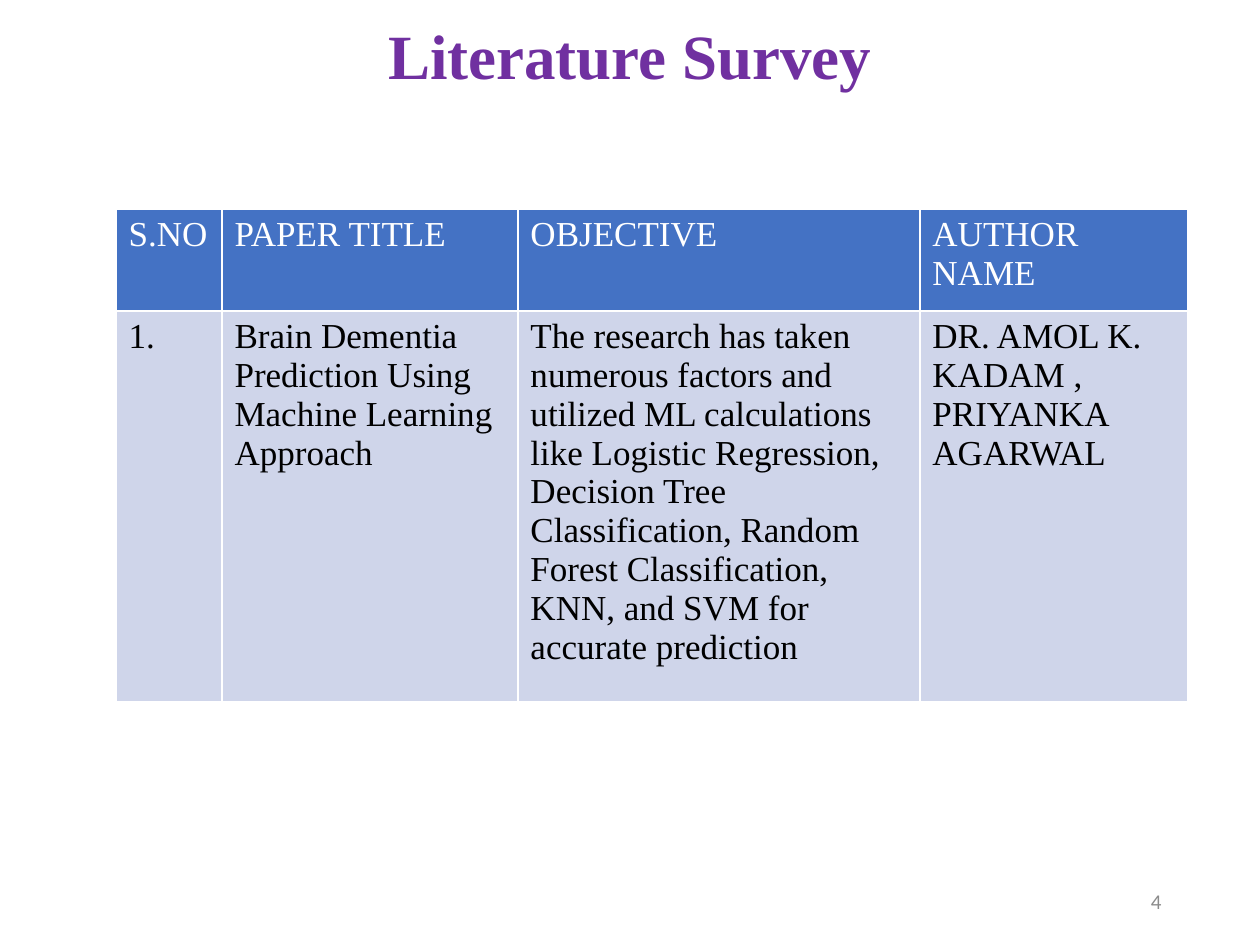
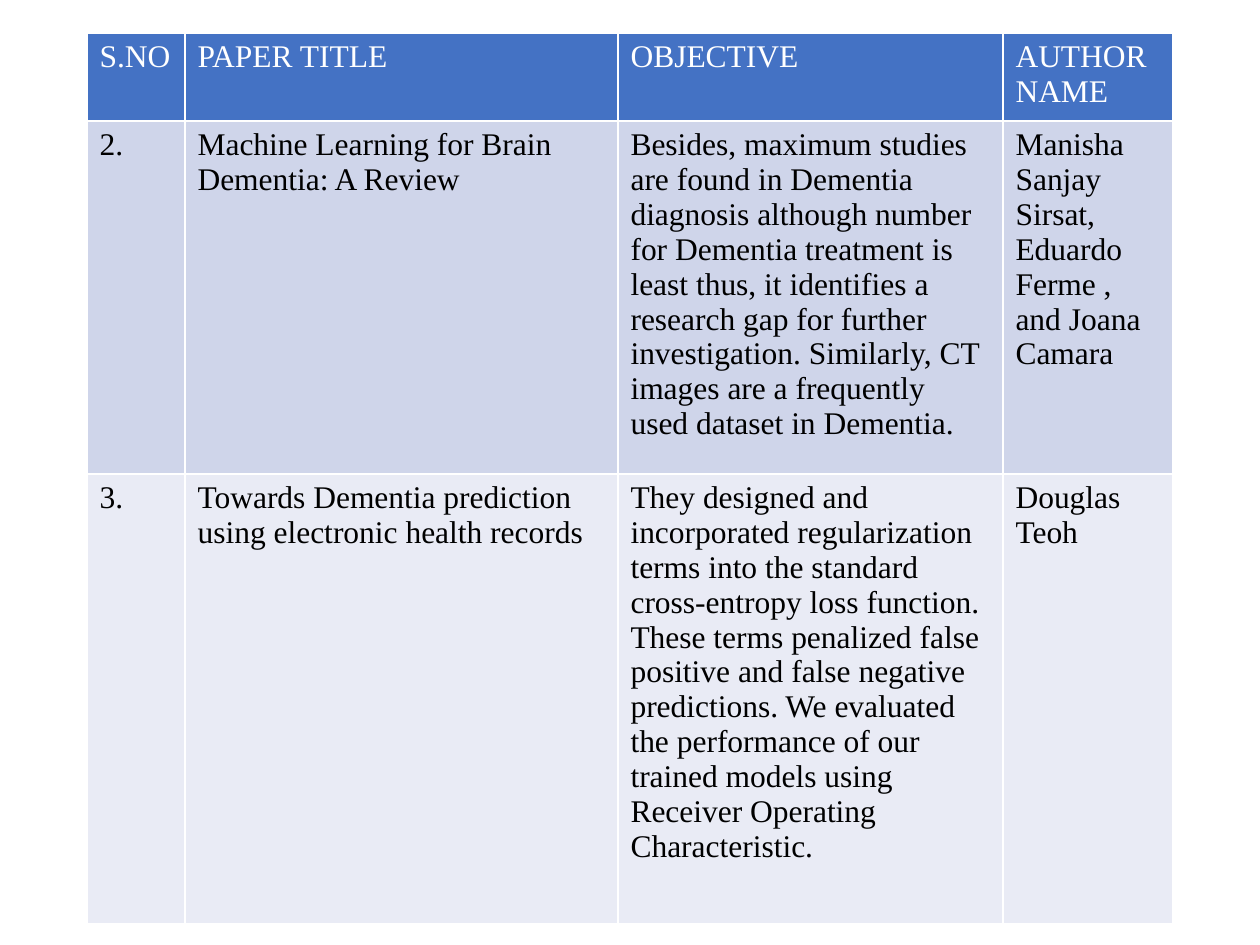
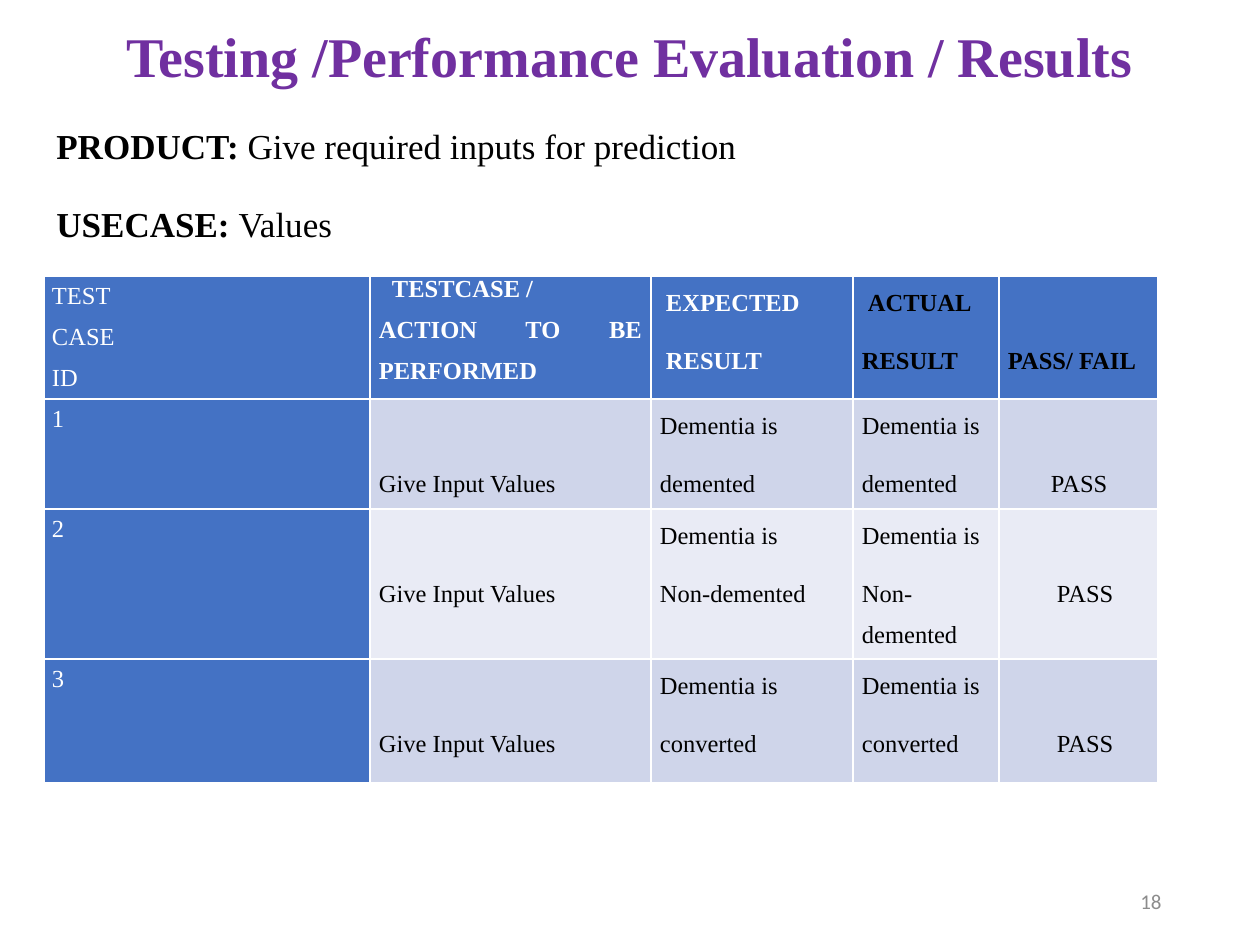
from dataclasses import dataclass
from lxml.etree import SubElement
from pptx import Presentation
from pptx.dml.color import RGBColor
from pptx.enum.text import MSO_ANCHOR as ANCHOR, PP_ALIGN as ALIGN
from pptx.oxml.ns import qn
from pptx.util import Emu, Pt

PX = 914400 / 126


@dataclass(frozen=True)
class Theme:
    serif: str = "Times New Roman"
    sans: str = "Calibri"
    purple: str = "7030A0"
    grey: str = "8C8C8C"
    black: str = "000000"
    white: str = "FFFFFF"
    header: str = "4472C4"
    bands: tuple = ("CFD5EA", "E9EBF5")
    title: int = 36
    long_title: int = 32
    body: int = 20
    compact: int = 18
    small: int = 14
    number: int = 12


T = Theme()

SURVEY_HEAD = ("S.NO", "PAPER TITLE", "OBJECTIVE", "AUTHOR NAME")
SURVEYS = [
    dict(title="Literature Survey", number="4", at=(116, 209), size=T.body,
         cols=(106, 296, 402, 268), heights=(102, 363),
         rows=[("1.", "Brain Dementia Prediction Using Machine Learning Approach",
                "The research has taken numerous factors and utilized ML calculations like "
                "Logistic Regression, Decision Tree Classification, Random Forest "
                "Classification, KNN, and SVM for accurate prediction",
                "DR. AMOL K. KADAM , PRIYANKA AGARWAL")]),
    dict(title=None, number=None, at=(87, 33), size=T.compact,
         cols=(98, 433, 385, 170), heights=(81, 350, 450),
         rows=[("2.", "Machine Learning for Brain Dementia: A Review",
                "Besides, maximum studies are found in Dementia diagnosis although number "
                "for Dementia treatment is least thus, it identifies a research gap for "
                "further investigation. Similarly, CT images are a frequently used dataset "
                "in Dementia.",
                "Manisha Sanjay Sirsat, Eduardo Ferme , and Joana Camara"),
               ("3.", "Towards Dementia prediction using electronic health records",
                "They designed and incorporated regularization terms into the standard "
                "cross-entropy loss function. These terms penalized false positive and "
                "false negative predictions. We evaluated the performance of our trained "
                "models using Receiver Operating Characteristic.",
                "Douglas Teoh")]),
]

TEST_TITLE, TEST_NUMBER = "Testing /Performance Evaluation / Results", "18"
TEST_FACTS = [("Give required inputs for prediction", dict(lead="PRODUCT: ", after=6.8)),
              ("Values", dict(lead="USECASE: ", after=8))]
TEST_AT = (44, 276)
TEST_COLS = (326, 281, 202, 146, 159)
TEST_HEIGHTS = (115, 110, 140, 124)
TEST_HEAD = [
    ["TEST", "CASE", "ID"],
    [("TESTCASE /", dict(indent=13, spacing=1.0, after=0)), "ACTION TO BE PERFORMED"],
    [("EXPECTED", dict(indent=6)), ("RESULT", dict(indent=6))],
    [("ACTUAL", dict(indent=6)), "RESULT"],
    ["PASS/ FAIL"],
]
TEST_RESULTS = [("1", "demented", 43), ("2", "Non-demented", 49), ("3", "converted", 49)]
TEST_LINE = 58  # drop that puts single-line cells level with a second line


def px(n):
    return Emu(round(n * PX))


def rgb(color):
    return RGBColor.from_string(color)


def write(tf, paragraphs, **defaults):
    """Fill a text frame; a paragraph is a string or (string, format overrides)."""
    if isinstance(paragraphs, str):
        paragraphs = [paragraphs]
    for i, item in enumerate(paragraphs):
        text, extra = (item, {}) if isinstance(item, str) else item
        f = {**defaults, **extra}
        p = tf.add_paragraph() if i else tf.paragraphs[0]
        p.alignment = f.get("align", ALIGN.LEFT)
        p.line_spacing = f.get("spacing", 1.0)
        p.space_before, p.space_after = Pt(f.get("before", 0)), Pt(f.get("after", 0))
        if f.get("indent"):
            p._p.get_or_add_pPr().set("marL", str(px(f["indent"])))
        runs = [(text, f.get("bold", False))]
        if "lead" in f:
            runs.insert(0, (f["lead"], True))
        for words, bold in runs:
            r = p.add_run()
            r.text = words
            r.font.name, r.font.size = f.get("font", T.serif), Pt(f["size"])
            r.font.bold = bold
            r.font.color.rgb = rgb(f.get("color", T.black))


def add_text(s, box, paragraphs, anchor=ANCHOR.MIDDLE, **fmt):
    tf = s.shapes.add_textbox(*map(px, box)).text_frame
    tf.word_wrap, tf.vertical_anchor = True, anchor
    write(tf, paragraphs, **fmt)


def add_slide(prs, title=None, number=None, size=T.title):
    s = prs.slides.add_slide(prs.slide_layouts[6])
    if title:
        add_text(s, (87, 23, 1086, 73), title, size=size, color=T.purple,
                 bold=True, align=ALIGN.CENTER, spacing=0.9)
    if number:
        add_text(s, (890, 876, 284, 50), number, size=T.number, color=T.grey,
                 font=T.sans, align=ALIGN.RIGHT)
    return s


def add_grid(s, at, cols, heights):
    frame = s.shapes.add_table(len(heights), len(cols), *map(px, (*at, sum(cols), sum(heights))))
    table = frame.table
    table.first_row = table.horz_banding = False
    for col, width in zip(table.columns, cols):
        col.width = px(width)
    for row, height in zip(table.rows, heights):
        row.height = px(height)
    return table


def style_cell(cell, fill):
    """Give a cell its fill and thin white borders."""
    tcPr = cell._tc.get_or_add_tcPr()
    for side in ("lnL", "lnR", "lnT", "lnB"):
        ln = SubElement(tcPr, qn(f"a:{side}"), w=str(Pt(1)))
        SubElement(SubElement(ln, qn("a:solidFill")), qn("a:srgbClr"), val=T.white)
    cell.fill.solid()
    cell.fill.fore_color.rgb = rgb(fill)


def row_fill(row):
    return T.bands[(row - 1) % 2] if row else T.header


def survey_slide(prs, survey):
    s = add_slide(prs, survey["title"], survey["number"])
    table = add_grid(s, survey["at"], survey["cols"], survey["heights"])
    for i, texts in enumerate([SURVEY_HEAD, *survey["rows"]]):
        for j, text in enumerate(texts):
            cell = table.cell(i, j)
            style_cell(cell, row_fill(i))
            write(cell.text_frame, text, size=survey["size"],
                  color=T.black if i else T.white)


def result_row(case, outcome, indent):
    found = ["Dementia is", outcome]
    return [[case], ["Give Input Values"], found, found, [("PASS", dict(indent=indent))]]


def testing_slide(prs):
    s = add_slide(prs, TEST_TITLE, TEST_NUMBER, T.long_title)
    add_text(s, (44, 112, 1589, 845), TEST_FACTS, anchor=ANCHOR.TOP, size=T.body,
             align=ALIGN.JUSTIFY, spacing=1.15, before=10)
    table = add_grid(s, TEST_AT, TEST_COLS, TEST_HEIGHTS)
    for i, texts in enumerate([TEST_HEAD, *(result_row(*r) for r in TEST_RESULTS)]):
        for j, lines in enumerate(texts):
            cell = table.cell(i, j)
            style_cell(cell, row_fill(i) if j else T.header)
            if j:
                margins = (9, TEST_LINE if len(lines) == 1 else 0, 9, 0)
                fmt = dict(align=ALIGN.JUSTIFY, spacing=1.5, after=10, bold=i == 0)
            else:
                margins = (8, 5, 3, 0)
                fmt = dict(spacing=1.07, after=6.8)
            cell.margin_left, cell.margin_top, cell.margin_right, cell.margin_bottom = map(px, margins)
            white = j == 0 or (i == 0 and j < 3)
            write(cell.text_frame, lines, size=T.small,
                  color=T.white if white else T.black, **fmt)


def main():
    prs = Presentation()
    prs.slide_width, prs.slide_height = px(1260), px(945)
    for survey in SURVEYS:
        survey_slide(prs, survey)
    testing_slide(prs)
    prs.save("out.pptx")


if __name__ == "__main__":
    main()
